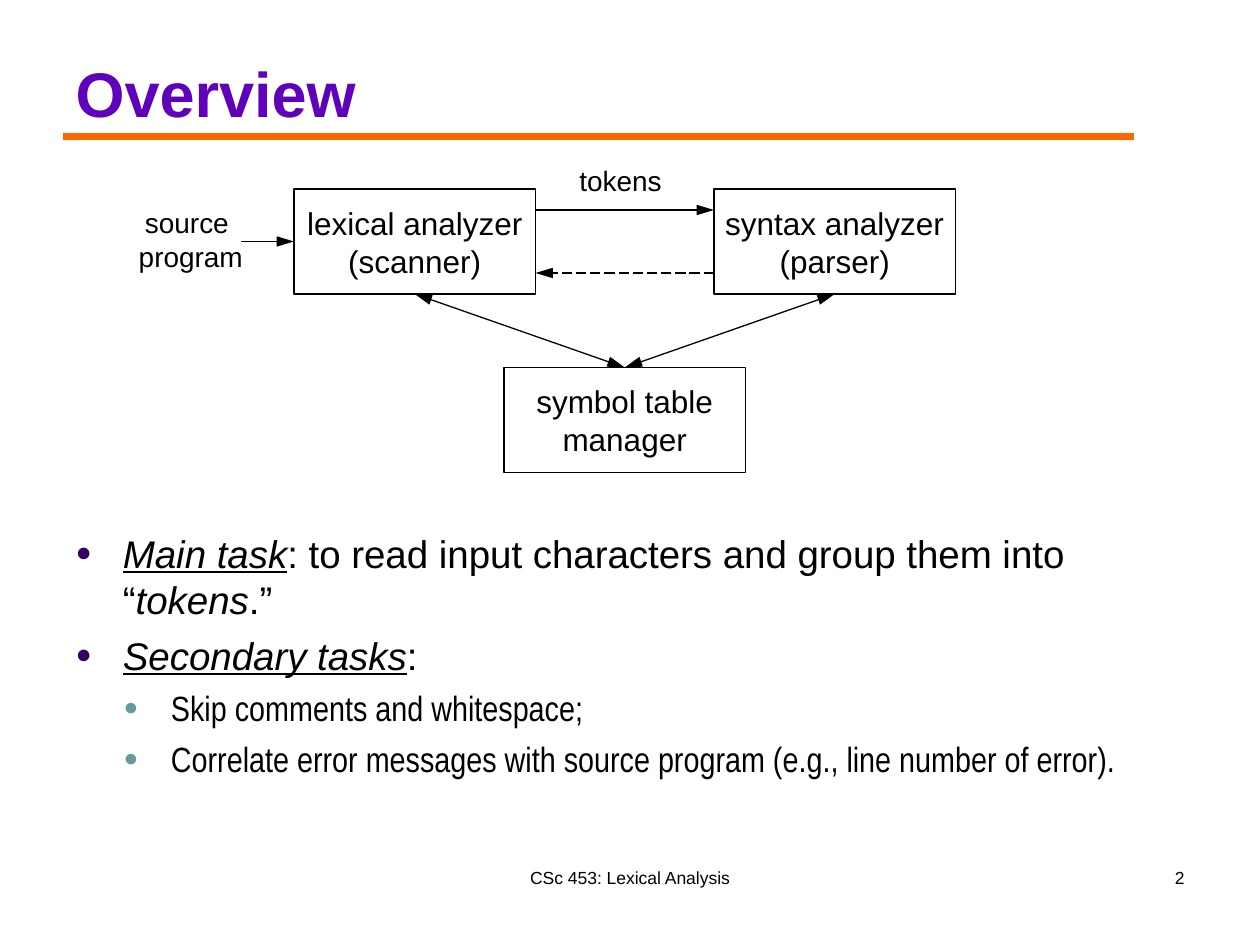
"""Build the overview slide of a lecture on lexical analysis."""
from pptx import Presentation
from pptx.util import Pt
from pptx.dml.color import RGBColor
from pptx.enum.dml import MSO_LINE
from pptx.enum.shapes import MSO_SHAPE, MSO_CONNECTOR
from pptx.enum.text import MSO_ANCHOR as ANCHOR, MSO_AUTO_SIZE as FIT, PP_ALIGN as ALIGN
from pptx.oxml.ns import qn
from lxml.etree import SubElement

COLORS = {"title": "5E00BC", "text": "000000", "rule": "FF6600",
          "bullet": "330066", "sub_bullet": "669999"}
BOX_W, BOX_H = 138, 60

TITLE = "Overview"
BOXES = {
    "lexer": (168, 108, ["lexical analyzer", "(scanner)"]),
    "parser": (408, 108, ["syntax analyzer", "(parser)"]),
    "symbols": (288, 210, ["symbol table", "manager"]),
}
DIAGRAM_LABELS = [
    (71, 114, 76, 46, ["source ", "program"], 16, ALIGN.CENTER),
    (324, 90, 63, 26.5, ["tokens"], 16, ALIGN.LEFT),
]
FOOTERS = [
    (246, 492, 228, 36, ["CSc 453: Lexical Analysis"], 10, ALIGN.CENTER),
    (516, 492, 168, 36, ["2"], 10, ALIGN.RIGHT),
]
BULLETS = [
    (0, [("Main task", "iu"), (": to read input characters and group them into “", ""),
         ("tokens", "i"), (".”", "")]),
    (0, [("Secondary tasks", "iu"), (":", "")]),
    (1, [("Skip comments and whitespace;", "")]),
    (1, [("Correlate error messages with source program (e.g., line number of error).", "")]),
]
LEVELS = [
    {"size": 22, "font": "Arial", "before": 5.5, "left": 27, "color": "bullet"},
    {"size": 20, "font": "Arial Narrow", "before": 5, "left": 54.5, "color": "sub_bullet"},
]


def rgb(name):
    return RGBColor.from_string(COLORS[name])


def add_run(p, text, size, font="Arial", color="text"):
    r = p.add_run()
    r.text = text
    r.font.size, r.font.name = Pt(size), font
    r.font.color.rgb = rgb(color)
    return r


def add_lines(tf, lines, size, align):
    for i, text in enumerate(lines):
        p = tf.paragraphs[0] if i == 0 else tf.add_paragraph()
        p.alignment = align
        add_run(p, text, size)


def add_label(left, top, width, height, lines, size, align, wrap):
    tf = slide.shapes.add_textbox(*map(Pt, (left, top, width, height))).text_frame
    tf.word_wrap = wrap
    tf.auto_size = FIT.NONE if wrap else FIT.SHAPE_TO_FIT_TEXT
    add_lines(tf, lines, size, align)


def place(sp, left, top, width, height):
    sp.left, sp.top, sp.width, sp.height = Pt(left), Pt(top), Pt(width), Pt(height)


def add_line(start, end, color="text", width=0.74, ends=(), dash=None):
    sp = slide.shapes.add_connector(MSO_CONNECTOR.STRAIGHT, *map(Pt, start + end))
    sp.line.color.rgb = rgb(color)
    sp.line.width = Pt(width)
    if dash:
        sp.line.dash_style = dash
    ln = sp.line._get_or_add_ln()
    for tag in ends:
        SubElement(ln, qn(f"a:{tag}"), type="triangle", w="med", len="lg")
    SubElement(sp._element.spPr, qn("a:effectLst"))


def add_bullet(p, level):
    pPr = p._p.get_or_add_pPr()
    pPr.set("marL", str(Pt(level["left"])))
    pPr.set("indent", str(-Pt(27)))
    clr = SubElement(pPr, qn("a:buClr"))
    SubElement(clr, qn("a:srgbClr"), val=COLORS[level["color"]])
    SubElement(pPr, qn("a:buSzPct"), val="70000")
    SubElement(pPr, qn("a:buFont"), typeface="Arial")
    SubElement(pPr, qn("a:buChar"), char="●")


prs = Presentation()
prs.slide_width, prs.slide_height = Pt(720), Pt(540)
slide = prs.slides.add_slide(prs.slide_layouts[1])

add_line((36, 78), (648, 78), "rule", 3.74)

title, body = slide.placeholders
place(title, 36, 9.5, 648, 68.5)
tf = title.text_frame
tf.auto_size, tf.vertical_anchor = FIT.NONE, ANCHOR.BOTTOM
p = tf.paragraphs[0]
p.alignment = ALIGN.LEFT
add_run(p, TITLE, 36, color="title").font.bold = True

place(body, 36, 299, 648, 183.5)
tf = body.text_frame
tf.auto_size = FIT.NONE
for i, (depth, runs) in enumerate(BULLETS):
    p = tf.paragraphs[0] if i == 0 else tf.add_paragraph()
    level = LEVELS[depth]
    p.level = depth
    p.space_before = Pt(level["before"])
    add_bullet(p, level)
    for text, style in runs:
        r = add_run(p, text, level["size"], level["font"])
        r.font.italic = "i" in style
        r.font.underline = "u" in style

for left, top, lines in BOXES.values():
    sp = slide.shapes.add_shape(MSO_SHAPE.RECTANGLE, *map(Pt, (left, top, BOX_W, BOX_H)))
    sp.shadow.inherit = False
    sp.fill.background()
    sp.line.color.rgb = rgb("text")
    sp.line.width = Pt(0.74)
    tf = sp.text_frame
    tf.word_wrap, tf.vertical_anchor = False, ANCHOR.MIDDLE
    add_lines(tf, lines, 18, ALIGN.CENTER)

for label in DIAGRAM_LABELS:
    add_label(*label, wrap=False)
for footer in FOOTERS:
    add_label(*footer, wrap=True)

(lexer_x, row_y, _), (parser_x, _, _), (symbols_x, symbols_y, _) = BOXES.values()
lexer_right = lexer_x + BOX_W
symbols_top = (symbols_x + BOX_W / 2, symbols_y)
add_line((138, row_y + BOX_H / 2), (lexer_x, row_y + BOX_H / 2), ends=["tailEnd"])
add_line((lexer_right, row_y + 12), (parser_x, row_y + 12), ends=["tailEnd"])
add_line((parser_x, row_y + 48), (lexer_right, row_y + 48), ends=["tailEnd"],
         dash=MSO_LINE.LONG_DASH)
for x in (lexer_x, parser_x):
    add_line((x + BOX_W / 2, row_y + BOX_H), symbols_top, ends=["headEnd", "tailEnd"])

prs.save("out.pptx")
